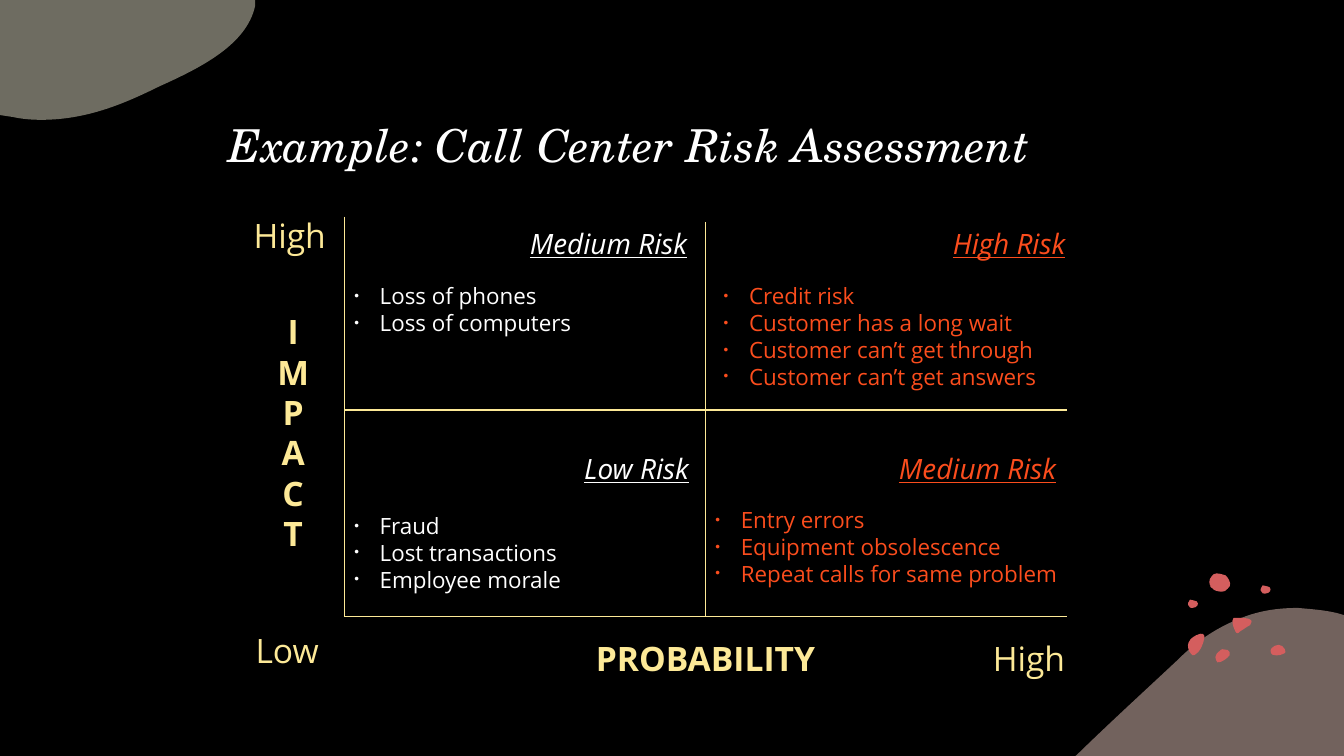
from lxml.etree import Element, SubElement
from pptx import Presentation
from pptx.dml.color import RGBColor
from pptx.enum.text import MSO_ANCHOR as Anchor, MSO_AUTO_SIZE as Fit, PP_ALIGN as Align
from pptx.oxml.ns import qn
from pptx.util import Cm, Pt

BLACK = RGBColor(0x00, 0x00, 0x00)
WHITE = RGBColor(0xFF, 0xFF, 0xFF)
CREAM = RGBColor(0xFD, 0xE9, 0x97)
FLAME = RGBColor(0xFB, 0x4D, 0x1D)
ROSE = RGBColor(0xD4, 0x5E, 0x5E)
BLUSH = RGBColor(0xE5, 0xC4, 0xBA)
SAND = RGBColor(0xDC, 0xD9, 0xC3)
SANS, SERIF = "Open Sans", "TeX Gyre Schola"

CLOUD = [(0, 0), (6.43, 0), (6.43, 0.15), (6.22, 1.12, 5.08, 1.7, 4.01, 2.18),
         (3.12, 2.62, 2.18, 3.02, 1.04, 3.02), (0.79, 3.02, 0.56, 3, 0.33, 2.95), (0, 2.9)]
HILL = [(5.61, 0), (5.94, 0.03, 6.27, 0.05, 6.6, 0.13), (6.77, 0.18), (6.77, 3.73), (0, 3.73),
        (0.03, 3.71), (0.89, 2.87, 1.78, 2.06, 2.59, 1.3), (3.15, 0.74, 3.73, 0.41, 4.32, 0.2),
        (4.75, 0.05, 5.18, 0, 5.61, 0)]
DOT = [(0, 0.13), (0, 0.13, 0, 0.03, 0.05, 0), (0.1, 0, 0.13, 0, 0.18, 0.03),
       (0.2, 0.03, 0.25, 0.05, 0.25, 0.1), (0.25, 0.13, 0.23, 0.18, 0.2, 0.18),
       (0.2, 0.18, 0.2, 0.2, 0.15, 0.2), (0.13, 0.2, 0.08, 0.23, 0.05, 0.2),
       (0.03, 0.15, 0, 0.15, 0, 0.13)]
SPOTS = [
    [(0.89, 1.91), (0.94, 1.91, 0.97, 1.91, 1.02, 1.93), (1.07, 1.96, 1.09, 2.01, 1.07, 2.06),
     (1.02, 2.13, 0.86, 2.26, 0.76, 2.24), (0.74, 2.21, 0.71, 2.16, 0.71, 2.11),
     (0.71, 2.06, 0.76, 1.98, 0.81, 1.96), (0.84, 1.93, 0.86, 1.91, 0.89, 1.91)],
    [(0.33, 1.52), (0.38, 1.52, 0.43, 1.52, 0.43, 1.57), (0.43, 1.6, 0.43, 1.6, 0.43, 1.63),
     (0.41, 1.75, 0.36, 1.88, 0.28, 1.98), (0.23, 2.03, 0.15, 2.11, 0.1, 2.03),
     (0.03, 1.96, 0, 1.83, 0.03, 1.75), (0.05, 1.68, 0.1, 1.65, 0.15, 1.6),
     (0.18, 1.6, 0.25, 1.52, 0.33, 1.52)],
    [(2.31, 1.8), (2.36, 1.8, 2.44, 1.85, 2.46, 1.91), (2.49, 1.96, 2.49, 2.01, 2.41, 2.03),
     (2.34, 2.08, 2.13, 2.08, 2.11, 2.01), (2.08, 1.96, 2.11, 1.91, 2.13, 1.88),
     (2.18, 1.83, 2.24, 1.8, 2.31, 1.8)],
    [(0.58, 0.3), (0.56, 0.3, 0.53, 0.15, 0.61, 0.08), (0.66, 0.03, 0.66, 0, 0.74, 0),
     (0.81, 0, 0.91, 0.03, 0.97, 0.05), (1.02, 0.1, 1.12, 0.23, 1.07, 0.33),
     (0.99, 0.41, 0.97, 0.46, 0.86, 0.46), (0.79, 0.46, 0.66, 0.43, 0.64, 0.38),
     (0.58, 0.36, 0.58, 0.33, 0.58, 0.3)],
    [(1.27, 1.12), (1.42, 1.12, 1.7, 1.12, 1.6, 1.27), (1.6, 1.3, 1.57, 1.32, 1.55, 1.32),
     (1.47, 1.37, 1.4, 1.42, 1.32, 1.47), (1.3, 1.5, 1.27, 1.52, 1.24, 1.5),
     (1.24, 1.5, 1.22, 1.47, 1.22, 1.47), (1.17, 1.37, 1.14, 1.3, 1.14, 1.19),
     (1.14, 1.17, 1.14, 1.14, 1.17, 1.12), (1.17, 1.12, 1.19, 1.12, 1.19, 1.12),
     (1.22, 1.12, 1.24, 1.12, 1.27, 1.12)],
]
QUADS = [
    ((8.68, 5.59, 8.89), 8.89, 1.4, WHITE, "Medium Risk", ["Loss of phones", "Loss of computers"]),
    ((17.99, 5.59, 9.11), 9.73, 1.4, FLAME, "High Risk",
     ["Credit risk", "Customer has a long wait", "Customer can’t get through",
      "Customer can’t get answers"]),
    ((8.68, 11.25, 8.93), 8.89, 1.53, WHITE, "Low Risk",
     ["Fraud", "Lost transactions", "Employee morale"]),
    ((17.78, 11.25, 9.09), 9.96, 1.38, FLAME, "Medium Risk",
     ["Entry errors", "Equipment obsolescence", "Repeat calls for same problem"]),
]


def bend(form, left, top, outline):
    """Turn the sides that have control points into cubic curves."""
    sides = list(form.element.iter(qn("a:lnTo")))
    for side, seg in zip(sides, outline[1:]):
        if len(seg) == 2:
            continue
        curve = Element(qn("a:cubicBezTo"))
        for x, y in zip(seg[::2], seg[1::2]):
            SubElement(curve, qn("a:pt"), x=str(Cm(left + x) - form.left),
                       y=str(Cm(top + y) - form.top))
        side.getparent().replace(side, curve)


def blob(slide, left, top, outline, color, alpha=100):
    """Draw a filled curved outline from the given corner."""
    pts = [(Cm(left + seg[-2]), Cm(top + seg[-1])) for seg in outline]
    pen = slide.shapes.build_freeform(*pts[0])
    pen.add_line_segments(pts[1:], close=True)
    form = pen.convert_to_shape()
    bend(form, left, top, outline)
    form.shadow.inherit = False
    form.fill.solid()
    form.fill.fore_color.rgb = color
    form.line.fill.background()
    if alpha < 100:
        tint = form.element.spPr.find(qn("a:solidFill")).find(qn("a:srgbClr"))
        SubElement(tint, qn("a:alpha"), val=str(alpha * 1000))


def rule(slide, x1, y1, x2, y2):
    """Draw one thin line of the grid."""
    line = slide.shapes.add_connector(1, Cm(x1), Cm(y1), Cm(x2), Cm(y2))
    line.line.color.rgb = CREAM
    line.line.width = Pt(1)
    SubElement(line.element.spPr, qn("a:effectLst"))


def write(par, text, size, color, face=SANS, bold=False, slant=False, under=False):
    """Add one formatted run to a paragraph."""
    run = par.add_run()
    run.text = text
    font = run.font
    font.name, font.size, font.color.rgb = face, Pt(size), color
    font.bold, font.italic, font.underline = bold, slant, under


def label(slide, box, lines, size, color, align=Align.LEFT, wrap=True, dots=False, **style):
    """Add a text box with one paragraph for each line."""
    frame = slide.shapes.add_textbox(*map(Cm, box)).text_frame
    frame.word_wrap = wrap
    for i, text in enumerate(lines):
        par = frame.add_paragraph() if i else frame.paragraphs[0]
        par.alignment = align
        write(par, text, size, color, **style)
        if dots:
            props = par._p.get_or_add_pPr()
            props.set("marL", str(Cm(0.64)))
            props.set("indent", str(-Cm(0.64)))
            SubElement(props, qn("a:buSzPct"), val="60000")
            SubElement(props, qn("a:buFont"), typeface="Arial")
            SubElement(props, qn("a:buChar"), char="•")


def decor(slide, wide, high):
    """Draw the corner shapes and the spots."""
    blob(slide, wide - 6.77, high - 3.73, HILL, BLUSH, 50)
    left, top = wide - 3.95, high - 4.6
    for spot in SPOTS:
        blob(slide, left, top, spot, ROSE)
    for dx, dy in ((1.85, 0.3), (0.02, 0.66)):
        blob(slide, left + dx, top + dy, DOT, ROSE)
    blob(slide, 0, 0, CLOUD, SAND, 50)


def title(slide, box):
    """Place and fill the title."""
    head = slide.shapes.title
    head.left, head.top, head.width, head.height = map(Cm, box)
    frame = head.text_frame
    frame.auto_size = Fit.NONE
    frame.vertical_anchor = Anchor.BOTTOM
    par = frame.paragraphs[0]
    par.alignment = Align.LEFT
    write(par, "Example: Call Center Risk Assessment", 32.4, WHITE, SERIF, slant=True)


def axes(slide, box):
    """Draw the grid lines and name both axes."""
    x, y, w, h = box
    base, mid = y + h, x + w / 2
    rule(slide, x, y, x, base)
    rule(slide, x, base, x + w, base)
    rule(slide, mid, y + 0.13, mid, base)
    rule(slide, x, y + 4.87, x + w, y + 4.87)
    label(slide, (x - 2.49, base + 0.21, 3.33, 1.27), ["Low"], 24, CREAM)
    label(slide, (x - 2.54, y - 0.18, 2.44, 1.27), ["High"], 24, CREAM, wrap=False)
    label(slide, (x + w - 2.11, base + 0.42, 2.44, 1.27), ["High"], 24, CREAM, wrap=False)
    label(slide, (x - 1.95, y + 2.26, 1.32, 6.4), "IMPACT", 24, CREAM, Align.CENTER,
          wrap=False, bold=True)
    label(slide, (mid - 4.23, base + 0.42, 8.46, 1.27), ["PROBABILITY"], 24, CREAM,
          Align.CENTER, bold=True)


def quad(slide, box, wide, drop, color, name, items):
    """Fill one quadrant with its heading and list."""
    x, y, w = box
    label(slide, (x + w - 6, y, 6, 1.09), [name], 20, color, Align.RIGHT, slant=True, under=True)
    label(slide, (x, y + drop, wide, 2.8), items, 16, color, dots=True)


def main():
    """Build and save the slide."""
    deck = Presentation()
    deck.slide_width, deck.slide_height = Cm(33.87), Cm(19.05)
    slide = deck.slides.add_slide(deck.slide_layouts[5])
    slide.background.fill.solid()
    slide.background.fill.fore_color.rgb = BLACK
    decor(slide, 33.87, 19.05)
    title(slide, (5.5, 1.27, 21.59, 3.18))
    axes(slide, (8.68, 5.46, 18.2, 10.08))
    for part in QUADS:
        quad(slide, *part)
    deck.save("out.pptx")


if __name__ == "__main__":
    main()
